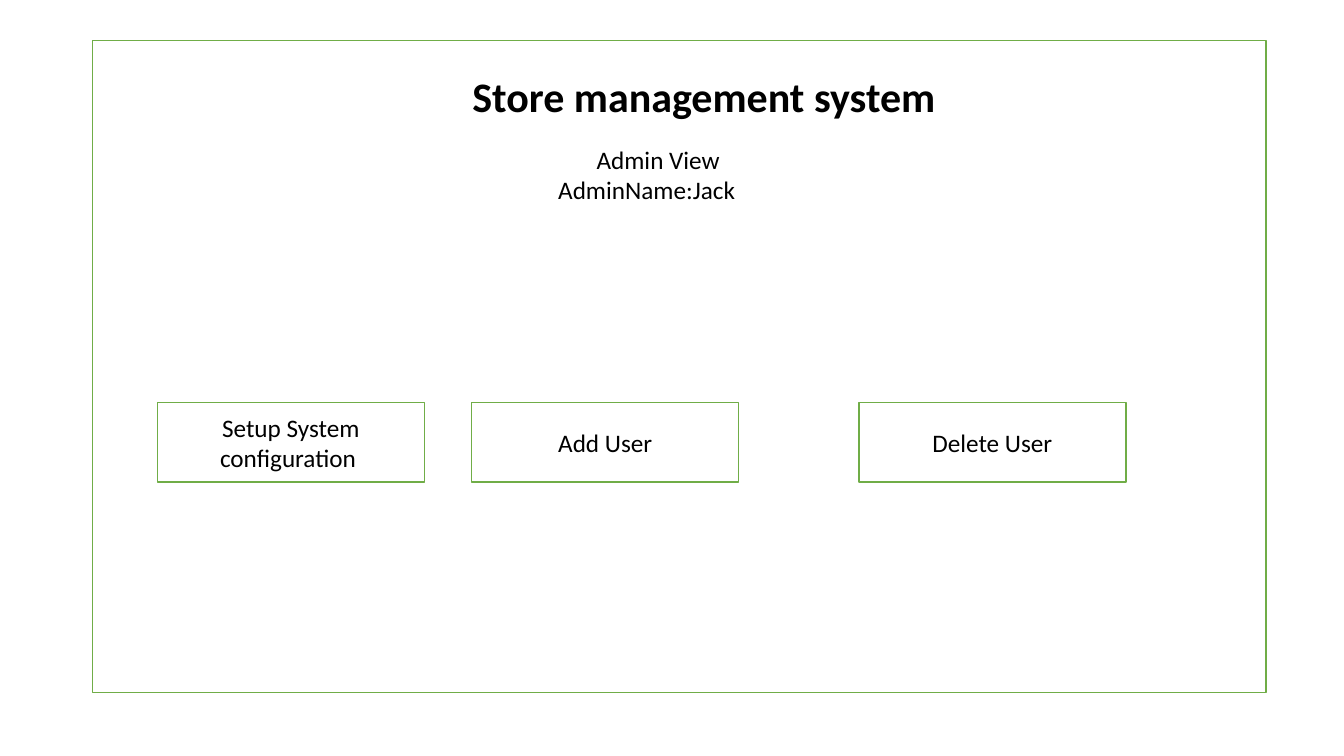
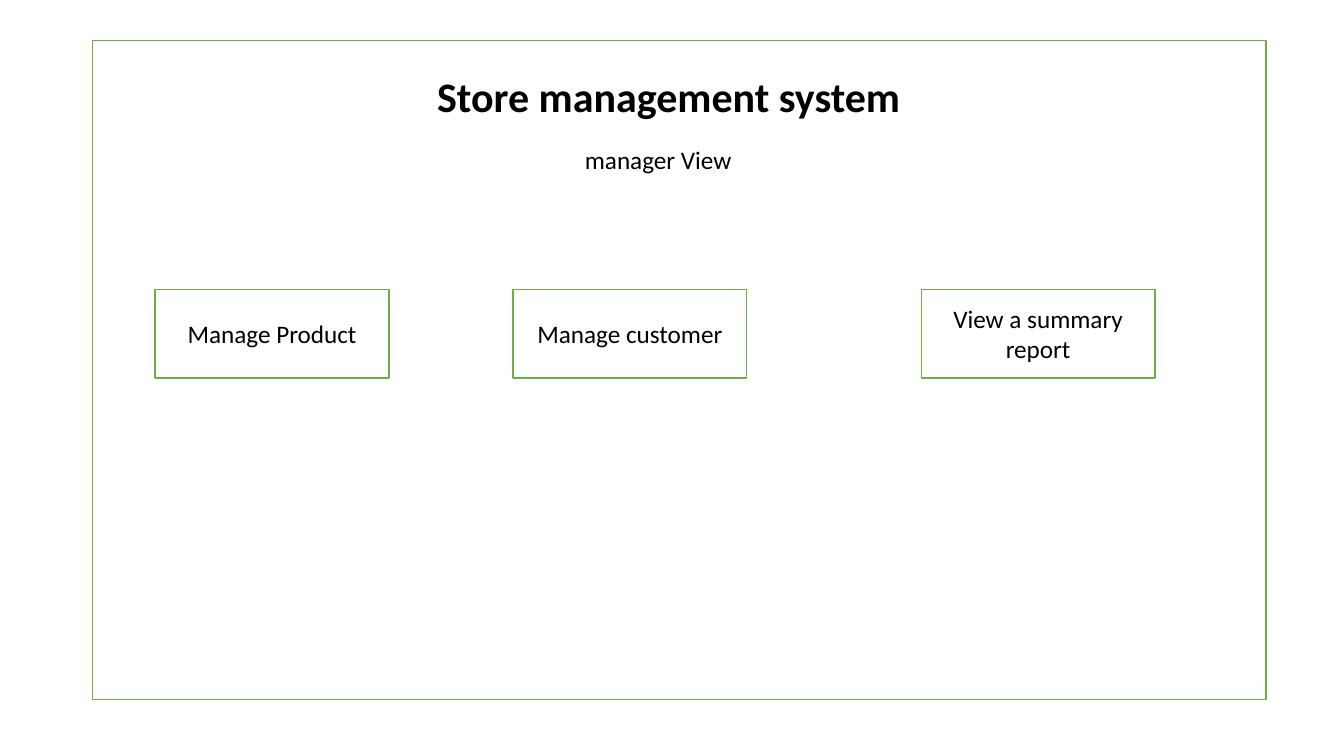
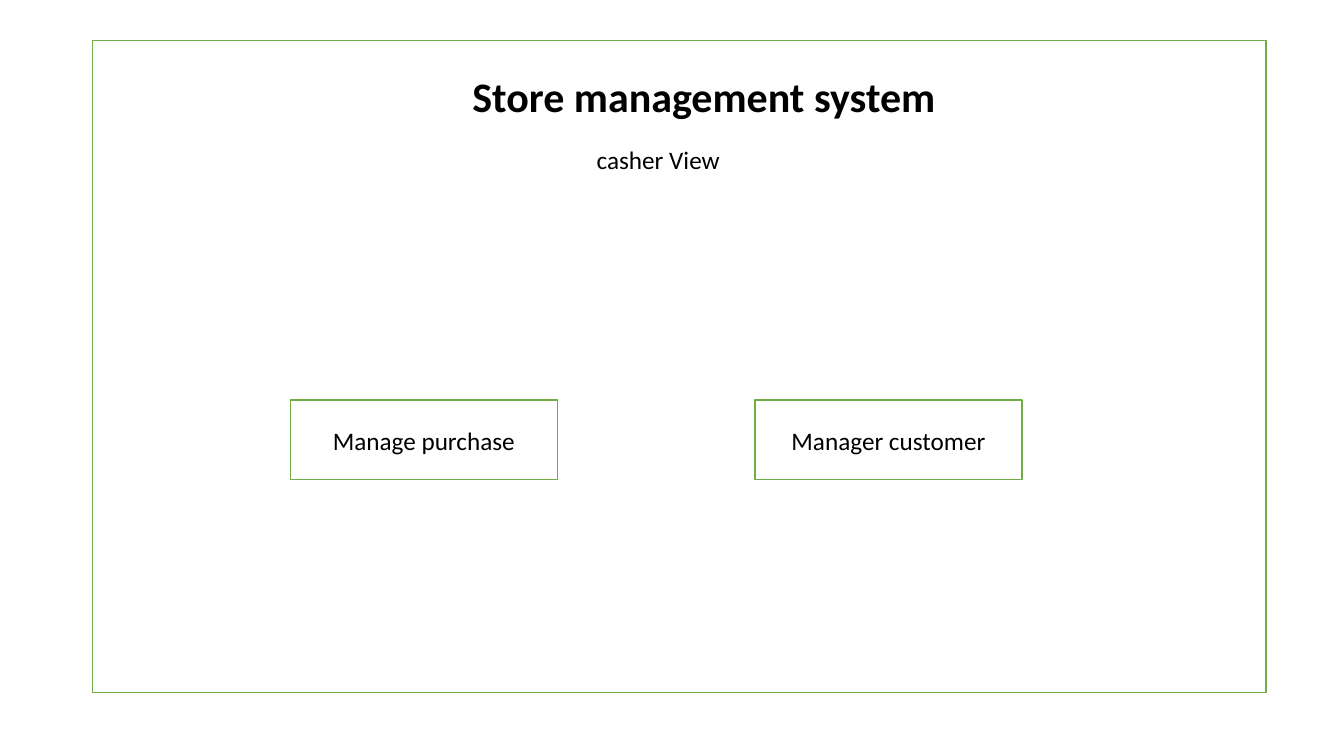
from collections import namedtuple

from pptx import Presentation
from pptx.dml.color import RGBColor
from pptx.enum.shapes import MSO_SHAPE
from pptx.enum.text import MSO_ANCHOR as Anchor, MSO_AUTO_SIZE as AutoSize, PP_ALIGN as Align
from pptx.util import Pt

COLORS = {"paper": "FFFFFF", "green": "70AD47", "ink": "000000"}
BODY_FONT = {"name": "Calibri", "size": Pt(18), "bold": False}
TITLE_FONT = {**BODY_FONT, "size": Pt(30), "bold": True}
LABEL_FRAME = {"word_wrap": True, "vertical_anchor": Anchor.MIDDLE}
HEADING_FRAME = {"word_wrap": True, "auto_size": AutoSize.SHAPE_TO_FIT_TEXT}
TITLE = "Store management system"

Box = namedtuple("Box", "left top width height")
View = namedtuple("View", "frame title_box subtitle_box subtitle indent buttons button_box")

FRAME = Box(66.24, 28.8, 838.08, 465.84)
WIDE_TITLE = Box(180, 18, 513.4, 65.5)
SUBTITLE = Box(163.4, 70.56, 481, 28.8)
NAME_SHIFT = 16.4

VIEWS = [
    View(FRAME, WIDE_TITLE,
         SUBTITLE._replace(width=SUBTITLE.width - NAME_SHIFT, height=51.1),
         ["Admin View", "AdminName:Jack"], NAME_SHIFT,
         {"Setup System configuration ": 46.1, "Add User": 270.7, "Delete User": 547.2},
         Box(0, 258.5, 190.8, 56.9)),
    View(FRAME._replace(height=470.88), Box(172.1, 18, 478.8, 43.9),
         SUBTITLE._replace(height=51.1), ["manager View"], 0,
         {"Manage Product": 44.6, "Manage customer": 300.2, "View a summary report": 591.8},
         Box(0, 177.8, 167, 63.4)),
    View(FRAME, WIDE_TITLE, SUBTITLE, ["casher View"], 0,
         {"Manage purchase": 141.1, "Manager customer": 473},
         Box(0, 257, 190.8, 56.9)),
]


def color(name):
    """Return the named colour."""
    return RGBColor.from_string(COLORS[name])


def apply(target, values):
    """Set each attribute of the target from a dict."""
    for name, value in values.items():
        setattr(target, name, value)


def within(outer, inner):
    """Move a box from frame coordinates to slide coordinates."""
    return inner._replace(left=outer.left + inner.left, top=outer.top + inner.top)


def write(shape, lines, font, frame_format):
    """Write centred paragraphs into a shape."""
    frame = shape.text_frame
    apply(frame, frame_format)
    for index, line in enumerate(lines):
        paragraph = frame.add_paragraph() if index else frame.paragraphs[0]
        paragraph.alignment = Align.CENTER
        run = paragraph.add_run()
        run.text = line
        apply(run.font, font)
        run.font.color.rgb = color("ink")


def add_panel(slide, box):
    """Add a white rectangle with a green outline."""
    shape = slide.shapes.add_shape(MSO_SHAPE.RECTANGLE, *map(Pt, box))
    shape.shadow.inherit = False
    shape.fill.solid()
    shape.fill.fore_color.rgb = color("paper")
    shape.line.color.rgb = color("green")
    shape.line.width = Pt(1)
    return shape


def add_heading(slide, box, lines, font):
    """Add a centred heading and return its text box."""
    shape = slide.shapes.add_textbox(*map(Pt, box))
    write(shape, lines, font, HEADING_FRAME)
    return shape


def add_buttons(slide, frame, buttons, button_box):
    """Add a row of labelled buttons inside the frame."""
    for label, left in buttons.items():
        panel = add_panel(slide, within(frame, button_box._replace(left=left)))
        write(panel, [label], BODY_FONT, LABEL_FRAME)


def add_view(presentation, view):
    """Add one screen with its frame, headings and buttons."""
    slide = presentation.slides.add_slide(presentation.slide_layouts[6])
    add_panel(slide, view.frame)
    add_heading(slide, within(view.frame, view.title_box), [TITLE], TITLE_FONT)
    subtitle = add_heading(slide, within(view.frame, view.subtitle_box), view.subtitle, BODY_FONT)
    if view.indent:
        properties = subtitle.text_frame.paragraphs[0]._p.get_or_add_pPr()
        properties.set("marL", str(Pt(view.indent)))
    add_buttons(slide, view.frame, view.buttons, view.button_box)


def main():
    """Build and save the presentation."""
    presentation = Presentation()
    apply(presentation, {"slide_width": Pt(960), "slide_height": Pt(540)})
    for view in VIEWS:
        add_view(presentation, view)
    presentation.save("out.pptx")


if __name__ == "__main__":
    main()
